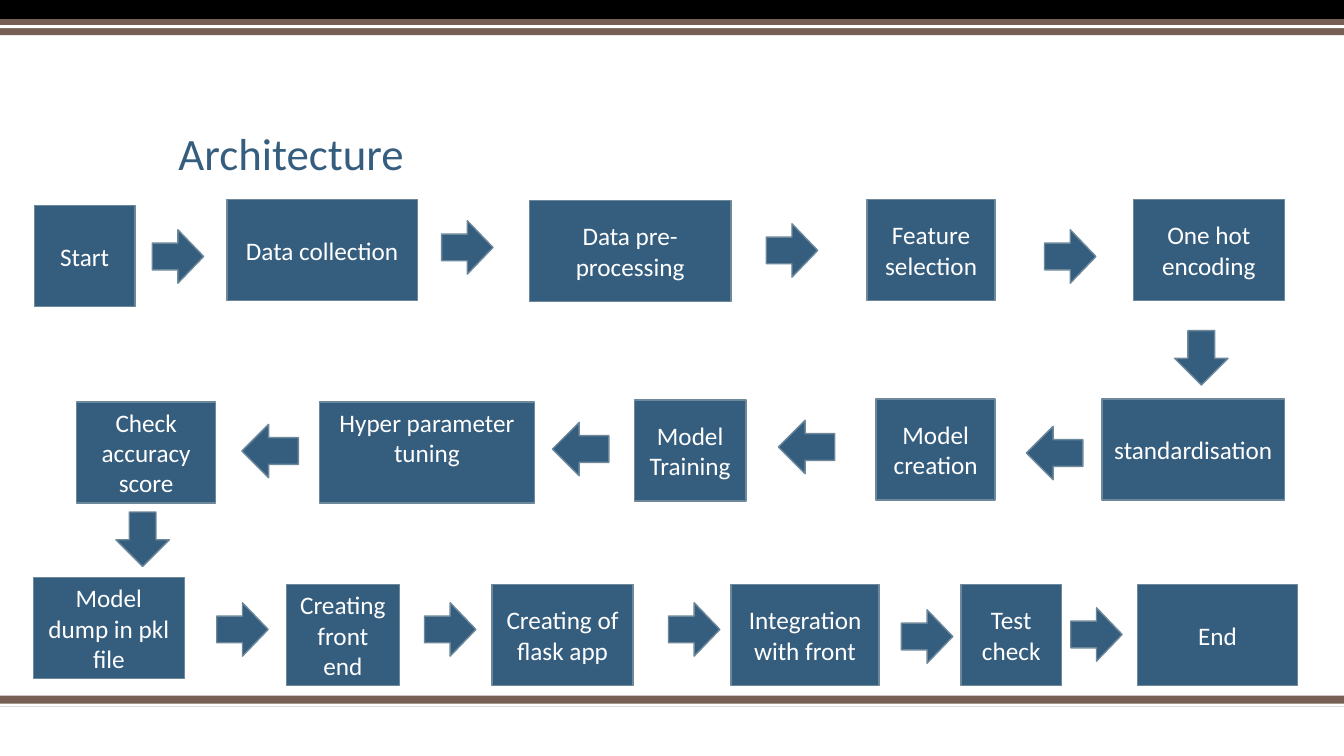
from dataclasses import dataclass

from pptx import Presentation
from pptx.dml.color import RGBColor
from pptx.enum.shapes import MSO_SHAPE
from pptx.enum.text import MSO_ANCHOR, PP_ALIGN
from pptx.shapes.autoshape import Shape
from pptx.slide import Slide
from pptx.util import Inches, Pt

BLUE = RGBColor(0x35, 0x5D, 0x7E)
OUTLINE = RGBColor(0x6D, 0x87, 0x9B)
BROWN = RGBColor(0x77, 0x5F, 0x55)
BLACK = RGBColor(0, 0, 0)
WHITE = RGBColor(0xFF, 0xFF, 0xFF)
FONT = "Calibri"
SLIDE_WIDTH = 13.33
STEP_HEIGHT = 1


@dataclass(frozen=True)
class Band:
    top: float
    height: float
    color: RGBColor


@dataclass(frozen=True)
class Step:
    label: str
    left: float
    top: float
    width: float
    anchor: MSO_ANCHOR = MSO_ANCHOR.MIDDLE


@dataclass(frozen=True)
class Direction:
    preset: MSO_SHAPE
    width: float
    height: float


@dataclass(frozen=True)
class Arrow:
    direction: Direction
    left: float
    top: float


RIGHT = Direction(MSO_SHAPE.RIGHT_ARROW, 0.51, 0.53)
LEFT = Direction(MSO_SHAPE.LEFT_ARROW, 0.56, 0.53)
DOWN = Direction(MSO_SHAPE.DOWN_ARROW, 0.53, 0.54)

BANDS = [
    Band(6.9, 0.11, BROWN),
    Band(6.98, 0.03, WHITE),
    Band(0, 0.19, BLACK),
    Band(0.19, 0.16, BROWN),
    Band(0.25, 0.03, WHITE),
]

STEPS = [
    Step("Start", 0.34, 2.04, 1),
    Step("Data collection", 2.25, 1.98, 1.89),
    Step("Data pre-processing", 5.25, 1.99, 2),
    Step("Feature selection", 8.6, 1.98, 1.27),
    Step("One hot encoding", 11.24, 1.98, 1.5),
    Step("standardisation", 10.93, 3.96, 1.81),
    Step("Model creation", 8.69, 3.96, 1.18),
    Step("Model Training", 6.29, 3.97, 1.11),
    Step("Hyper parameter tuning", 3.17, 3.99, 2.13, MSO_ANCHOR.TOP),
    Step("Check accuracy score", 0.76, 3.99, 1.38),
    Step("Model dump in pkl file", 0.33, 5.73, 1.5),
    Step("Creating front end", 2.84, 5.8, 1.12),
    Step("Creating of flask app", 4.88, 5.8, 1.4),
    Step("Integration with front", 7.25, 5.8, 1.47),
    Step("Test check", 9.53, 5.8, 1),
    Step("End", 11.28, 5.8, 1.59),
]

ARROWS = [
    Arrow(RIGHT, 1.51, 2.28),
    Arrow(RIGHT, 4.38, 2.19),
    Arrow(RIGHT, 7.6, 2.22),
    Arrow(RIGHT, 10.36, 2.28),
    Arrow(DOWN, 11.65, 3.28),
    Arrow(LEFT, 10.18, 4.23),
    Arrow(LEFT, 7.72, 4.17),
    Arrow(LEFT, 5.48, 4.19),
    Arrow(LEFT, 2.4, 4.21),
    Arrow(DOWN, 1.15, 5.08),
    Arrow(RIGHT, 2.15, 5.98),
    Arrow(RIGHT, 4.21, 5.98),
    Arrow(RIGHT, 6.63, 5.98),
    Arrow(RIGHT, 8.94, 6.05),
    Arrow(RIGHT, 10.62, 6.03),
]


def add_filled(slide: Slide, preset: MSO_SHAPE, left: float, top: float,
               width: float, height: float, color: RGBColor) -> Shape:
    filled = slide.shapes.add_shape(
        preset, Inches(left), Inches(top), Inches(width), Inches(height))
    filled.shadow.inherit = False
    filled.fill.solid()
    filled.fill.fore_color.rgb = color
    filled.line.fill.background()
    return filled


def add_outline(node: Shape) -> None:
    node.line.color.rgb = OUTLINE
    node.line.width = Pt(1)


def draw_band(slide: Slide, band: Band) -> None:
    add_filled(slide, MSO_SHAPE.RECTANGLE, 0, band.top, SLIDE_WIDTH,
               band.height, band.color)


def draw_heading(slide: Slide) -> None:
    heading = slide.shapes.title
    heading.left, heading.top = Inches(1.67), Inches(0.67)
    heading.width, heading.height = Inches(10), Inches(1.17)
    heading.text_frame.text = "Architecture"
    heading.text_frame.vertical_anchor = MSO_ANCHOR.BOTTOM
    paragraph = heading.text_frame.paragraphs[0]
    paragraph.alignment = PP_ALIGN.LEFT
    paragraph.line_spacing = 0.9
    paragraph.font.name = FONT
    paragraph.font.size = Pt(32)
    paragraph.font.color.rgb = BLUE


def draw_step(slide: Slide, step: Step) -> None:
    node = add_filled(slide, MSO_SHAPE.RECTANGLE, step.left, step.top,
                      step.width, STEP_HEIGHT, BLUE)
    add_outline(node)
    node.text_frame.word_wrap = True
    node.text_frame.vertical_anchor = step.anchor
    node.text_frame.text = step.label
    paragraph = node.text_frame.paragraphs[0]
    paragraph.alignment = PP_ALIGN.CENTER
    paragraph.font.name = FONT
    paragraph.font.size = Pt(18)
    paragraph.font.color.rgb = WHITE


def draw_arrow(slide: Slide, arrow: Arrow) -> None:
    direction = arrow.direction
    add_outline(add_filled(slide, direction.preset, arrow.left, arrow.top,
                           direction.width, direction.height, BLUE))


def main() -> None:
    presentation = Presentation()
    presentation.slide_width = Inches(SLIDE_WIDTH)
    presentation.slide_height = Inches(7.5)
    slide = presentation.slides.add_slide(presentation.slide_layouts[5])
    for band in BANDS:
        draw_band(slide, band)
    draw_heading(slide)
    for step in STEPS:
        draw_step(slide, step)
    for arrow in ARROWS:
        draw_arrow(slide, arrow)
    presentation.save("out.pptx")


if __name__ == "__main__":
    main()
